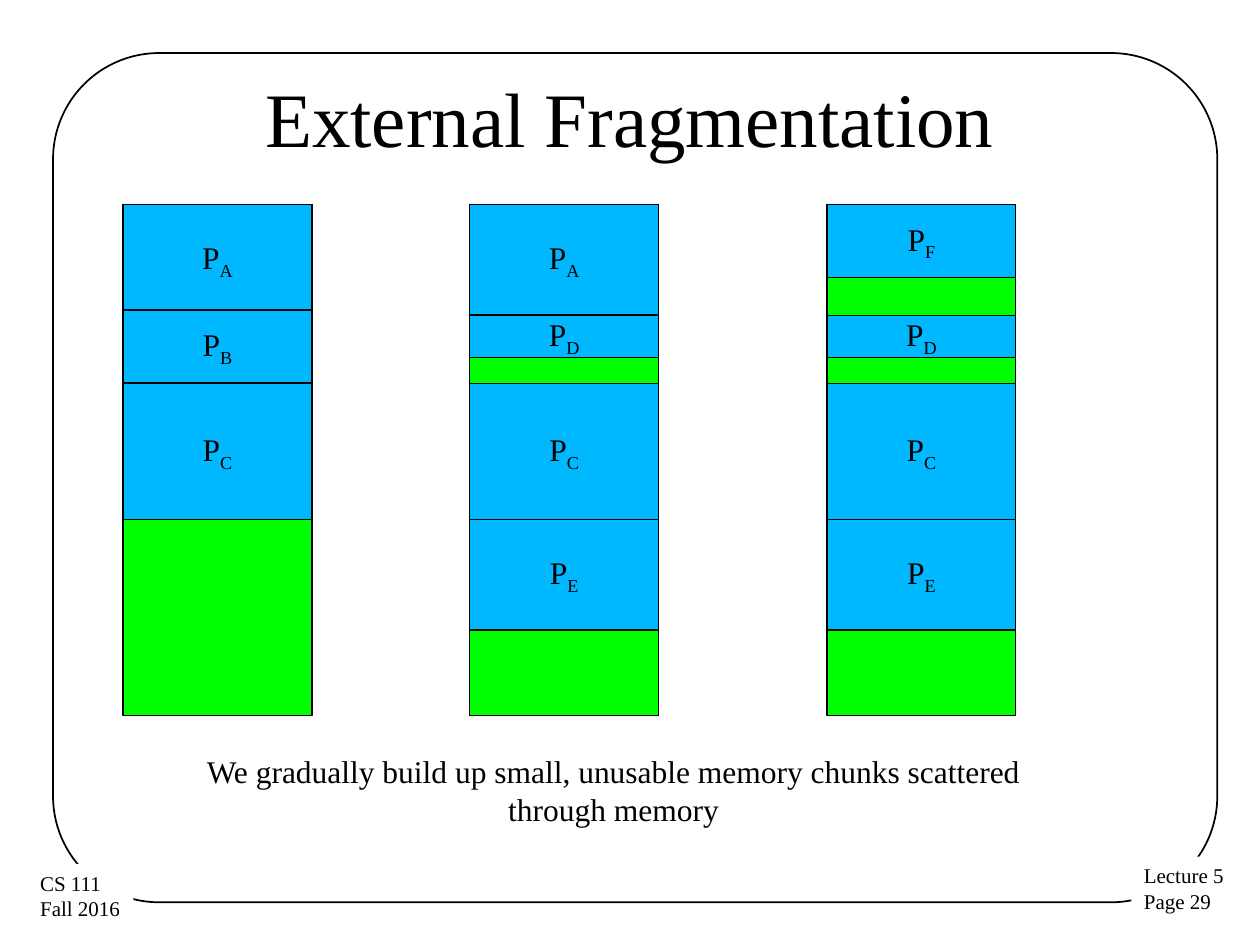
from pptx import Presentation
from pptx.dml.color import RGBColor
from pptx.enum.shapes import MSO_SHAPE
from pptx.enum.text import MSO_ANCHOR, PP_ALIGN
from pptx.util import Cm, Pt

RECTANGLE = MSO_SHAPE.RECTANGLE
ROUNDED = MSO_SHAPE.ROUNDED_RECTANGLE
CENTER = PP_ALIGN.CENTER
LEFT = PP_ALIGN.LEFT
MIDDLE = MSO_ANCHOR.MIDDLE
TOP = MSO_ANCHOR.TOP

BLACK = RGBColor(0x00, 0x00, 0x00)
WHITE = RGBColor(0xFF, 0xFF, 0xFF)
FREE_GREEN = RGBColor(0x00, 0xFF, 0x00)
USED_BLUE = RGBColor(0x00, 0xB8, 0xFF)
FONT = "Times New Roman"

HEADING = "External Fragmentation"
CAPTION = "We gradually build up small, unusable memory chunks scattered through memory"
CORNERS = [
    (22.81, 17.27, ["Lecture 5", "Page 29"]),
    (0.56, 17.42, ["CS 111", "Fall 2016"]),
]
PROCESSES = {
    "A": (4.13, 2.22),
    "B": (6.25, 1.46),
    "C": (7.73, 2.75),
    "D": (6.36, 0.85),
    "E": (10.48, 2.22),
    "F": (4.13, 1.46),
}
MEMORY_STATES = [(2.48, "ABC"), (9.47, "ACDE"), (16.67, "CDEF")]
MEMORY_TOP, MEMORY_WIDTH, MEMORY_HEIGHT = 4.13, 3.81, 10.29

prs = Presentation()
prs.slide_width, prs.slide_height = Cm(25.4), Cm(19.05)
slide = prs.slides.add_slide(prs.slide_layouts[5])


def style(paragraph, size, align):
    paragraph.alignment = align
    paragraph.font.name = FONT
    paragraph.font.size = Pt(size)
    paragraph.font.color.rgb = BLACK


def add_box(kind, left, top, width, height, fill=None, line=None):
    box = slide.shapes.add_shape(kind, Cm(left), Cm(top), Cm(width), Cm(height))
    box.shadow.inherit = False
    if fill is None:
        box.fill.background()
    else:
        box.fill.solid()
        box.fill.fore_color.rgb = fill
    if line is None:
        box.line.fill.background()
    else:
        box.line.color.rgb = BLACK
        box.line.width = Pt(line)
    return box


frame = add_box(ROUNDED, 1.07, 1.07, 23.47, 17.12, line=1)
frame.adjustments[0] = 0.125

for left, top, lines in CORNERS:
    corner = add_box(RECTANGLE, left, top, 2.13, 1.3, WHITE).text_frame
    corner.word_wrap = False
    corner.vertical_anchor = TOP
    corner.text = "\n".join(lines)
    for paragraph in corner.paragraphs:
        style(paragraph, 12, LEFT)

title = slide.shapes.title
title.left, title.top, title.width, title.height = Cm(1.27), Cm(0.76), Cm(22.86), Cm(3.18)
title.text_frame.text = HEADING
title.text_frame.vertical_anchor = MIDDLE
style(title.text_frame.paragraphs[0], 44, CENTER)

for left, processes in MEMORY_STATES:
    add_box(RECTANGLE, left, MEMORY_TOP, MEMORY_WIDTH, MEMORY_HEIGHT, FREE_GREEN, 0.75)
    for process in processes:
        top, height = PROCESSES[process]
        label = add_box(RECTANGLE, left, top, MEMORY_WIDTH, height, USED_BLUE, 0.75).text_frame
        label.word_wrap = False
        label.vertical_anchor = MIDDLE
        paragraph = label.paragraphs[0]
        style(paragraph, 18, CENTER)
        paragraph.add_run().text = "P"
        subscript = paragraph.add_run()
        subscript.text = process
        subscript.font._element.set("baseline", "-25000")

caption = slide.shapes.add_textbox(Cm(3.63), Cm(15.04), Cm(17.48), Cm(2.31)).text_frame
caption.word_wrap = True
caption.text = CAPTION
style(caption.paragraphs[0], 18, CENTER)

prs.save("out.pptx")
